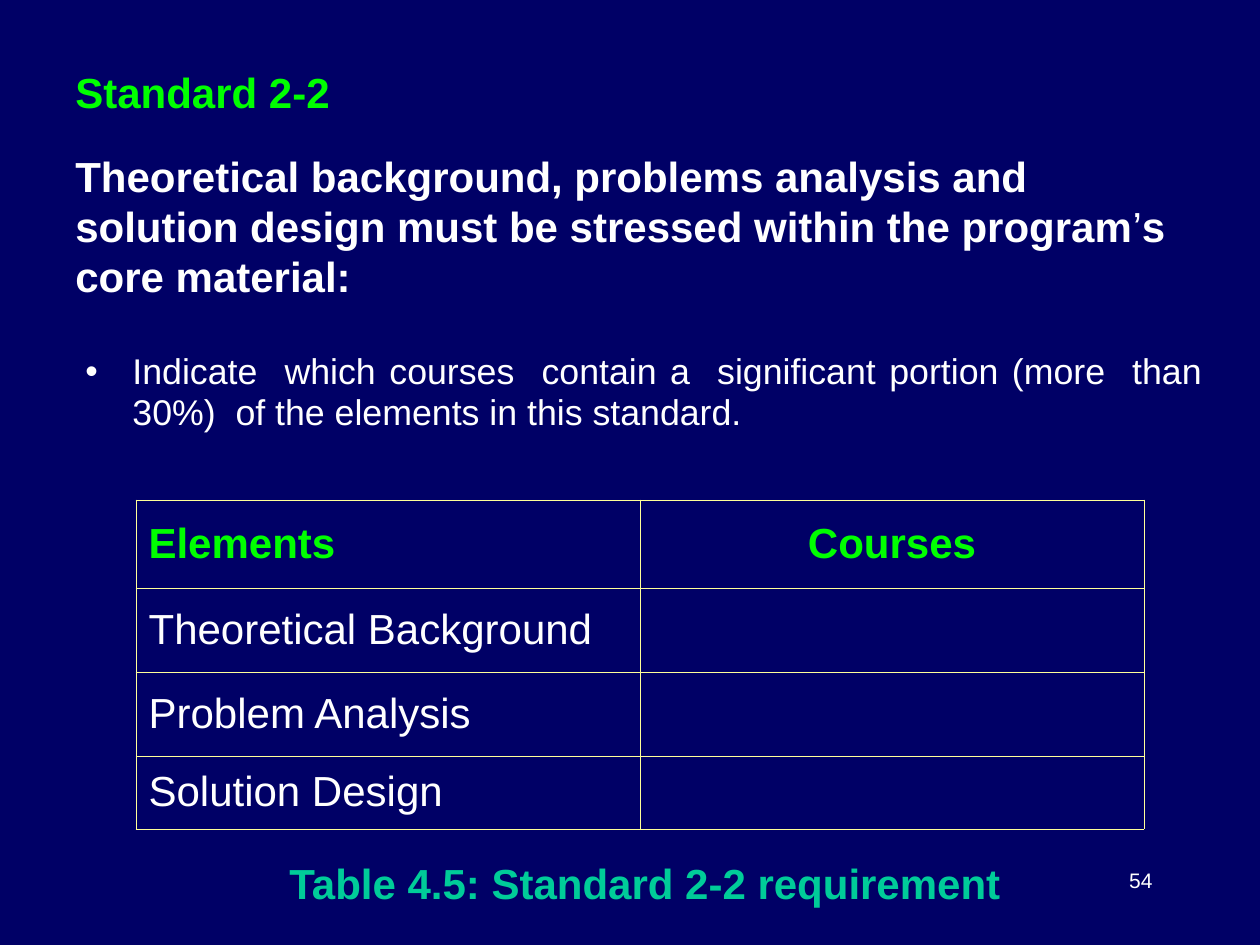
import dataclasses
import typing

import lxml.etree
import pptx
import pptx.dml.color
import pptx.enum.text
import pptx.oxml.ns
import pptx.util

EMU_PER_PX = 914400 / 126
COLORS = {
    "navy": "000066",
    "green": "00FF00",
    "white": "FFFFFF",
    "teal": "00CC99",
    "yellow": "FFFF99",
}
ALIGN = pptx.enum.text.PP_ALIGN
ANCHOR = pptx.enum.text.MSO_ANCHOR


@dataclasses.dataclass(frozen=True)
class TextRun:
    text: str
    color: str = "white"
    size: float = 24
    bold: bool = False


@dataclasses.dataclass(frozen=True)
class TextParagraph:
    runs: tuple[TextRun, ...]
    formats: dict[str, typing.Any] = dataclasses.field(default_factory=dict)
    bullet_indent: int = 0


@dataclasses.dataclass(frozen=True)
class TextBox:
    bounds: tuple[int, int, int, int]
    paragraphs: tuple[TextParagraph, ...]
    anchor: typing.Any = ANCHOR.MIDDLE
    wrap: bool = True


def px(length: int) -> pptx.util.Emu:
    return pptx.util.Emu(round(length * EMU_PER_PX))


def rgb(name: str) -> pptx.dml.color.RGBColor:
    return pptx.dml.color.RGBColor.from_string(COLORS[name])


def set_formats(target: typing.Any, formats: dict[str, typing.Any]) -> None:
    for name, value in formats.items():
        setattr(target, name, value)


def add_element(parent: typing.Any, tag: str, **attributes: str) -> typing.Any:
    return lxml.etree.SubElement(parent, pptx.oxml.ns.qn(tag), **attributes)


def add_bullet(paragraph: typing.Any, indent: int) -> None:
    properties = paragraph._p.get_or_add_pPr()
    properties.set("marL", str(px(indent)))
    properties.set("indent", str(-px(indent)))
    bullet_color = add_element(properties, "a:buClr")
    add_element(bullet_color, "a:srgbClr", val=COLORS["white"])
    add_element(properties, "a:buFont", typeface="Arial")
    add_element(properties, "a:buChar", char="•")


def write_paragraph(paragraph: typing.Any, content: TextParagraph) -> None:
    if content.bullet_indent:
        add_bullet(paragraph, content.bullet_indent)
    set_formats(paragraph, content.formats)
    for part in content.runs:
        run = paragraph.add_run()
        run.text = part.text
        set_formats(run.font, {
            "name": "Arial",
            "size": pptx.util.Pt(part.size),
            "bold": part.bold,
        })
        run.font.color.rgb = rgb(part.color)


def draw_text_box(slide: typing.Any, box: TextBox) -> None:
    shape = slide.shapes.add_textbox(*map(px, box.bounds))
    frame = shape.text_frame
    set_formats(frame, {"word_wrap": box.wrap, "vertical_anchor": box.anchor})
    for index, content in enumerate(box.paragraphs):
        paragraph = frame.add_paragraph() if index else frame.paragraphs[0]
        write_paragraph(paragraph, content)


def draw_borders(cell: typing.Any) -> None:
    properties = cell._tc.get_or_add_tcPr()
    for side in ("a:lnL", "a:lnR", "a:lnT", "a:lnB"):
        line = add_element(properties, side, w=str(pptx.util.Pt(0.45)))
        fill = add_element(line, "a:solidFill")
        add_element(fill, "a:srgbClr", val=COLORS["yellow"])


def draw_course_table(
    slide: typing.Any,
    left: int,
    top: int,
    column_width: int,
    row_heights: tuple[int, ...],
    rows: tuple[tuple[str, str], ...],
) -> None:
    frame = slide.shapes.add_table(
        len(rows), 2, px(left), px(top), px(2 * column_width), px(sum(row_heights))
    )
    table = frame.table
    set_formats(table, {"first_row": False, "horz_banding": False})
    for column in table.columns:
        column.width = px(column_width)
    for row_index, (height, texts) in enumerate(zip(row_heights, rows)):
        table.rows[row_index].height = px(height)
        is_header = row_index == 0
        for column_index, text in enumerate(texts):
            cell = table.cell(row_index, column_index)
            cell.vertical_anchor = ANCHOR.MIDDLE
            draw_borders(cell)
            cell.fill.background()
            if text:
                color = "green" if is_header else "white"
                alignment = ALIGN.CENTER if column_index else ALIGN.LEFT
                write_paragraph(cell.text_frame.paragraphs[0], TextParagraph(
                    (TextRun(text, color, bold=is_header),),
                    {"alignment": alignment},
                ))


LINE_PITCH = pptx.util.Pt(28.5)
TITLE = TextBox((63, 63, 1124, 242), (
    TextParagraph(
        (TextRun("Standard 2-2", "green", bold=True),),
        {"line_spacing": LINE_PITCH},
    ),
    TextParagraph(
        (
            TextRun(
                "Theoretical background, problems analysis and solution design "
                "must be stressed within the program",
                bold=True,
            ),
            TextRun("’"),
            TextRun("s core material:", bold=True),
        ),
        {"line_spacing": LINE_PITCH, "space_before": pptx.util.Pt(19.5)},
    ),
))
INSTRUCTION = TextBox((73, 346, 1155, 105), (
    TextParagraph(
        (TextRun(
            "Indicate  which courses  contain a  significant portion "
            "(more  than  30%)  of the elements in this standard.",
            size=20.4,
        ),),
        {"alignment": ALIGN.JUSTIFY, "line_spacing": 0.95},
        bullet_indent=47,
    ),
), ANCHOR.TOP)
CAPTION = TextBox((262, 851, 766, 63), (
    TextParagraph(
        (TextRun("Table 4.5: Standard 2-2 requirement", "teal", bold=True),),
        {"alignment": ALIGN.CENTER},
    ),
), wrap=False)
SLIDE_NUMBER = TextBox((903, 861, 262, 63), (
    TextParagraph((TextRun("54", size=12),), {"alignment": ALIGN.RIGHT}),
), ANCHOR.TOP)
COURSE_ROWS = (
    ("Elements", "Courses"),
    ("Theoretical Background", ""),
    ("Problem Analysis", ""),
    ("Solution Design", ""),
)


def main() -> None:
    presentation = pptx.Presentation()
    set_formats(presentation, {"slide_width": px(1260), "slide_height": px(945)})
    slide = presentation.slides.add_slide(presentation.slide_layouts[6])
    slide.background.fill.solid()
    slide.background.fill.fore_color.rgb = rgb("navy")
    draw_text_box(slide, TITLE)
    draw_text_box(slide, INSTRUCTION)
    draw_course_table(slide, 136, 500, 504, (88, 84, 84, 73), COURSE_ROWS)
    draw_text_box(slide, CAPTION)
    draw_text_box(slide, SLIDE_NUMBER)
    presentation.save("out.pptx")


if __name__ == "__main__":
    main()
